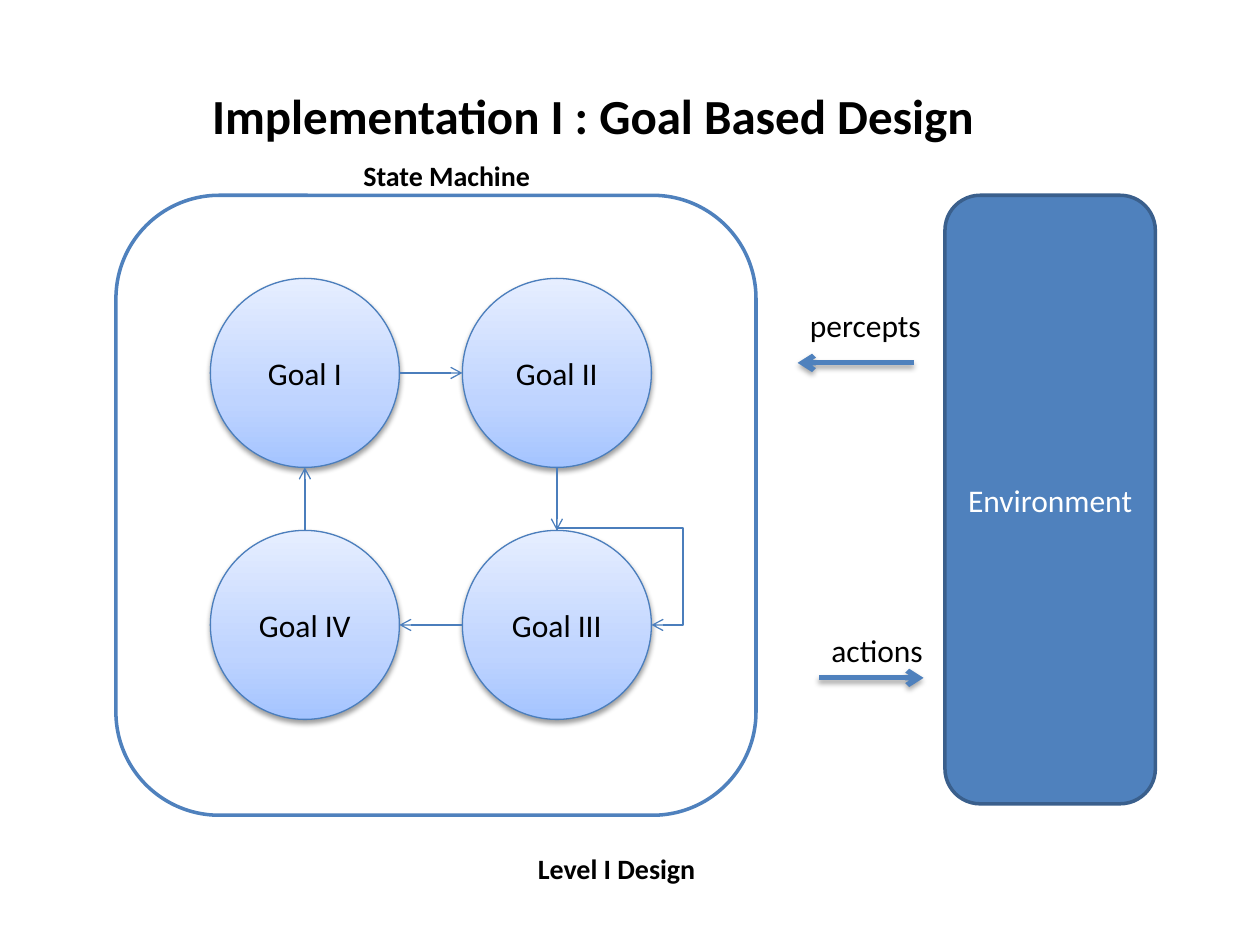
from pptx import Presentation
from pptx.dml.color import RGBColor
from pptx.enum.shapes import MSO_CONNECTOR as Connector, MSO_SHAPE as Shape
from pptx.enum.text import MSO_ANCHOR as Anchor, MSO_AUTO_SIZE as AutoSize, PP_ALIGN as Align
from pptx.oxml import parse_xml
from pptx.oxml.ns import nsdecls, qn
from pptx.util import Inches, Pt

BLACK = RGBColor(0x00, 0x00, 0x00)
WHITE = RGBColor(0xFF, 0xFF, 0xFF)
BLUE = RGBColor(0x4F, 0x81, 0xBD)
DARK_BLUE = RGBColor(0x3A, 0x5F, 0x8C)
GOAL_LINE = RGBColor(0x4B, 0x7E, 0xBC)
GOAL_STOPS = [
    (0, RGBColor(0xA4, 0xC4, 0xFF)),
    (35, RGBColor(0xBF, 0xD4, 0xFF)),
    (100, RGBColor(0xE6, 0xEE, 0xFF)),
]
FONT = "Calibri"

GOAL_SIZE = 1.5
GOAL_PITCH = 2
GOAL_LEFT, GOAL_TOP = 1.67, 2.21


def write_text(shape, text, size, color=BLACK, bold=False, align=Align.CENTER,
               anchor=Anchor.MIDDLE):
    frame = shape.text_frame
    frame.text = text
    frame.word_wrap = True
    frame.vertical_anchor = anchor
    paragraph = frame.paragraphs[0]
    paragraph.alignment = align
    font = paragraph.runs[0].font
    font.name = FONT
    font.size = Pt(size)
    font.bold = bold
    font.color.rgb = color


def set_effects(shape, opacity=None, distance=0):
    """Replace the theme shadow with a downward one, or with none."""
    shadow = ""
    if opacity:
        shadow = (
            f'<a:outerShdw blurRad="{Pt(3.1)}" dist="{Pt(distance)}" dir="5400000"'
            f' rotWithShape="0"><a:srgbClr val="{BLACK}">'
            f'<a:alpha val="{opacity * 1000}"/></a:srgbClr></a:outerShdw>'
        )
    properties = shape._element.spPr
    for old in properties.findall(qn("a:effectLst")):
        properties.remove(old)
    properties.append(parse_xml(f'<a:effectLst {nsdecls("a")}>{shadow}</a:effectLst>'))


def add_title(slide, text):
    title = slide.shapes.title
    title.left, title.top = Inches(0.33), Inches(0.63)
    title.width, title.height = Inches(8.75), Inches(0.57)
    write_text(title, text, 28, bold=True, anchor=Anchor.TOP)


def add_label(slide, text, left, top, width, height, size, **style):
    box = slide.shapes.add_textbox(Inches(left), Inches(top), Inches(width), Inches(height))
    write_text(box, text, size, anchor=Anchor.TOP, **style)
    box.text_frame.auto_size = AutoSize.SHAPE_TO_FIT_TEXT


def add_outlined_shape(slide, kind, left, top, width, height, line_color, line_width):
    shape = slide.shapes.add_shape(
        kind, Inches(left), Inches(top), Inches(width), Inches(height))
    shape.line.color.rgb = line_color
    shape.line.width = Pt(line_width)
    shape.shadow.inherit = False
    return shape


def add_panel(slide, left, top, width, height, fill_color, line_color):
    panel = add_outlined_shape(
        slide, Shape.ROUNDED_RECTANGLE, left, top, width, height, line_color, 2)
    panel.fill.solid()
    panel.fill.fore_color.rgb = fill_color
    return panel


def add_goal(slide, text, column, row):
    goal = add_outlined_shape(
        slide, Shape.OVAL, GOAL_LEFT + column * GOAL_PITCH, GOAL_TOP + row * GOAL_PITCH,
        GOAL_SIZE, GOAL_SIZE, GOAL_LINE, 0.75)
    goal.fill.gradient()
    goal.fill.gradient_angle = 90
    stops = goal._element.spPr.find(qn("a:gradFill")).find(qn("a:gsLst"))
    stops.clear()
    for position, color in GOAL_STOPS:
        stops.append(parse_xml(
            f'<a:gs {nsdecls("a")} pos="{position * 1000}"><a:srgbClr val="{color}"/></a:gs>'))
    set_effects(goal, opacity=38, distance=1.6)
    write_text(goal, text, 18)
    return goal


def style_arrow(connector, color, width):
    connector.line.color.rgb = color
    connector.line.width = Pt(width)
    connector.line._get_or_add_ln().append(
        parse_xml(f'<a:tailEnd {nsdecls("a")} type="arrow"/>'))
    set_effects(connector)


def add_flow_arrow(slide, start_x, end_x, y):
    """Thick shadowed arrow between the state machine and the environment."""
    arrow = slide.shapes.add_connector(
        Connector.STRAIGHT, Inches(start_x), Inches(y), Inches(end_x), Inches(y))
    style_arrow(arrow, BLUE, 3)
    set_effects(arrow, opacity=35, distance=1.8)


def connect_goals(slide, source, source_site, target, target_site):
    """Join two goals; sites run 0 top, 2 left, 4 bottom, 6 right."""
    arrow = slide.shapes.add_connector(Connector.STRAIGHT, 0, 0, 0, 0)
    middle_x, middle_y = GOAL_SIZE / 2, GOAL_SIZE / 2
    offsets = {0: (middle_x, 0), 2: (0, middle_y),
               4: (middle_x, GOAL_SIZE), 6: (GOAL_SIZE, middle_y)}
    from_x, from_y = (Inches(value) for value in offsets[source_site])
    to_x, to_y = (Inches(value) for value in offsets[target_site])
    arrow.begin_x, arrow.begin_y = source.left + from_x, source.top + from_y
    arrow.end_x, arrow.end_y = target.left + to_x, target.top + to_y
    style_arrow(arrow, GOAL_LINE, 0.75)


def add_self_loop(slide, goal):
    """Bent arrow from the top of a goal round to its right side."""
    radius = goal.width // 2
    loop = slide.shapes.add_connector(
        Connector.ELBOW, goal.left + radius, goal.top,
        goal.left + goal.width, goal.top + radius)
    properties = loop._element.spPr
    transform = properties.find(qn("a:xfrm"))
    transform.set("rot", "16200000")
    transform.set("flipH", "1")
    geometry = properties.find(qn("a:prstGeom"))
    geometry.set("prst", "bentConnector4")
    guides = geometry.find(qn("a:avLst"))
    for name, value in (("adj1", -2700), ("adj2", 133300)):
        guides.append(parse_xml(
            f'<a:gd {nsdecls("a")} name="{name}" fmla="val {value}"/>'))
    style_arrow(loop, GOAL_LINE, 0.75)


def main():
    presentation = Presentation()
    presentation.slide_width, presentation.slide_height = Inches(10), Inches(7.5)
    slide = presentation.slides.add_slide(presentation.slide_layouts[5])

    add_title(slide, "Implementation I : Goal Based Design")
    environment = add_panel(slide, 7.5, 1.55, 1.67, 4.83, BLUE, DARK_BLUE)
    write_text(environment, "Environment", 18, WHITE)
    add_panel(slide, 0.92, 1.55, 5.08, 4.92, WHITE, BLUE)

    add_flow_arrow(slide, 6.5, 7.33, 5.38)
    add_flow_arrow(slide, 7.25, 6.33, 2.88)
    add_label(slide, "percepts", 6.33, 2.38, 1.17, 0.42, 18, align=Align.LEFT)
    add_label(slide, "actions", 6.5, 4.96, 1.08, 0.42, 18, align=Align.LEFT)

    first = add_goal(slide, "Goal I", 0, 0)
    second = add_goal(slide, "Goal II", 1, 0)
    third = add_goal(slide, "Goal III", 1, 1)
    fourth = add_goal(slide, "Goal IV", 0, 1)
    connect_goals(slide, first, 6, second, 2)
    connect_goals(slide, second, 4, third, 0)
    connect_goals(slide, third, 2, fourth, 6)
    connect_goals(slide, fourth, 0, first, 4)
    add_self_loop(slide, third)

    add_label(slide, "Level I Design", 4.17, 6.71, 2.08, 0.37, 16, bold=True, align=Align.LEFT)
    add_label(slide, "State Machine", 1.67, 1.21, 3.75, 0.37, 16, bold=True)

    presentation.save("out.pptx")


if __name__ == "__main__":
    main()
